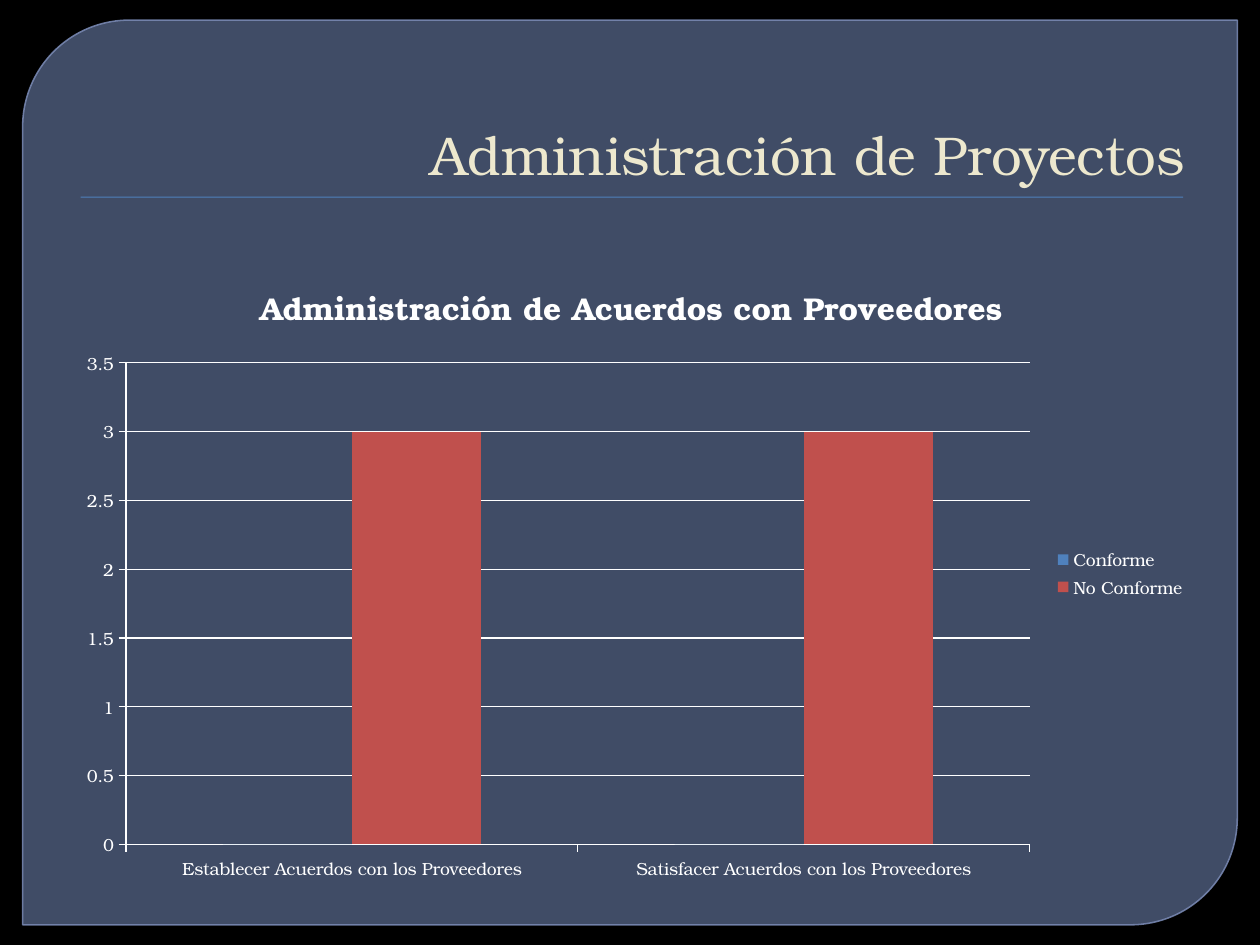
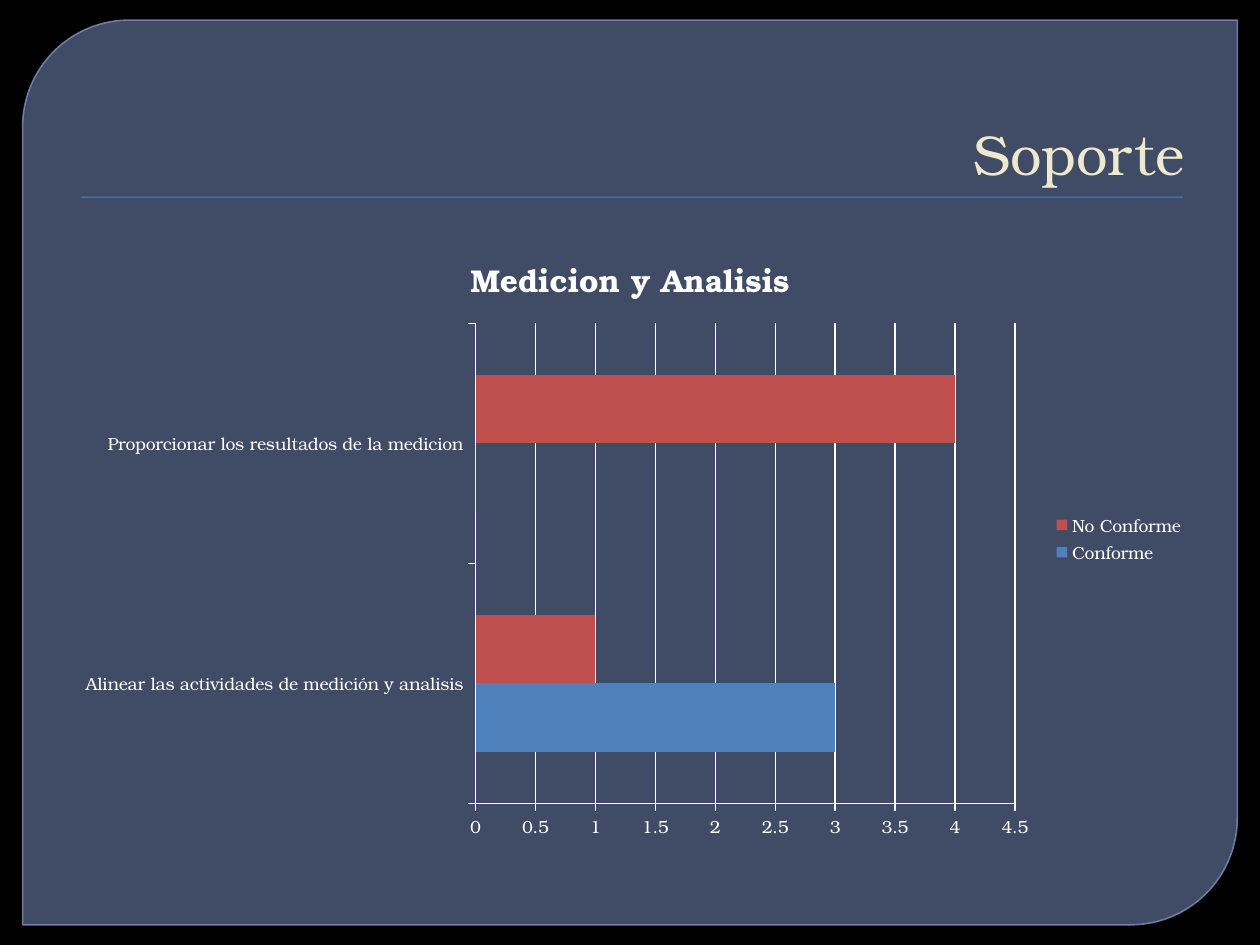
from lxml.etree import SubElement
from pptx import Presentation
from pptx.chart.data import CategoryChartData
from pptx.dml.color import RGBColor
from pptx.enum.chart import XL_CHART_TYPE as Kind, XL_LEGEND_POSITION as LegendAt, XL_TICK_MARK as Tick
from pptx.enum.shapes import MSO_SHAPE as Shape
from pptx.enum.text import MSO_ANCHOR as Anchor, MSO_AUTO_SIZE as AutoSize, PP_ALIGN as Align
from pptx.oxml.ns import qn
from pptx.util import Inches, Pt

COLS, ROWS = 20, 15
TITLE_ONLY = 5


def rgb(code):
    return RGBColor.from_string(code)


def apply(target, **values):
    for name, value in values.items():
        setattr(target, name, value)


class Deck:
    font = "TeX Gyre Bonum"
    back, panel, edge = "000000", "63759D", "7989B3"
    accent, cream, white = "4F81BD", "EDE8CE", "FFFFFF"
    series_colours = {"Conforme": accent, "No Conforme": "C0504D"}

    def __init__(self):
        self.prs = Presentation()
        apply(self.prs, slide_width=Inches(10), slide_height=Inches(7.5))
        self.s = None

    def box(self, col, row, cols, rows):
        w, h = self.prs.slide_width / COLS, self.prs.slide_height / ROWS
        return [round(v) for v in (col * w, row * h, cols * w, rows * h)]

    def style(self, font, size, colour, bold=False):
        apply(font, name=self.font, size=Pt(size), bold=bold)
        font.color.rgb = rgb(colour)

    def line(self, line, colour, width=0.75):
        line.color.rgb = rgb(colour)
        line.width = Pt(width)

    def alpha(self, fill_owner, percent):
        """Set the opacity of the solid fill held by an XML element."""
        colour = fill_owner.find(qn("a:solidFill"))[0]
        SubElement(colour, qn("a:alpha"), val=str(percent * 1000))

    def backdrop(self, shape, at, colour):
        """Add a filled shape behind the placeholders."""
        sp = self.s.shapes.add_shape(shape, *self.box(*at))
        sp.shadow.inherit = False
        sp.fill.solid()
        sp.fill.fore_color.rgb = rgb(colour)
        sp.line.fill.background()
        title = self.s.shapes.title._element
        title.addprevious(sp._element)
        return sp

    def slide(self):
        self.s = self.prs.slides.add_slide(self.prs.slide_layouts[TITLE_ONLY])
        fill = self.s.background.fill
        fill.solid()
        fill.fore_color.rgb = rgb(self.back)
        panel = self.backdrop(Shape.ROUND_2_DIAG_RECTANGLE, (0.36, 0.32, 19.28, 14.36), self.panel)
        panel.adjustments[0] = 0.118
        self.line(panel.line, self.edge, 0.87)
        props = panel._element.spPr
        self.alpha(props, 65)
        self.alpha(props.find(qn("a:ln")), 88)
        self.backdrop(Shape.RECTANGLE, (1.28, 3.12, 17.5, 0.02), self.accent)

    def title(self, text, at, size):
        sp = self.s.shapes.title
        apply(sp, **dict(zip(("left", "top", "width", "height"), self.box(*at))))
        tf = sp.text_frame
        apply(tf, text=text, word_wrap=True, auto_size=AutoSize.NONE, vertical_anchor=Anchor.BOTTOM)
        p = tf.paragraphs[0]
        p.alignment = Align.RIGHT
        self.style(p.runs[0].font, size, self.cream)

    def chart(self, kind, title, at, categories, values, top):
        data = CategoryChartData()
        data.categories = categories
        for name, numbers in zip(self.series_colours, values):
            data.add_series(name, numbers)
        chart = self.s.shapes.add_chart(kind, *self.box(*at), data).chart
        self.style(chart.font, 10, self.white)

        tf = chart.chart_title.text_frame
        tf.text = title
        self.style(tf.paragraphs[0].runs[0].font, 18, self.white, True)

        chart.has_legend = True
        apply(chart.legend, position=LegendAt.RIGHT, include_in_layout=False)

        for axis in (chart.category_axis, chart.value_axis):
            apply(axis, major_tick_mark=Tick.OUTSIDE, minor_tick_mark=Tick.NONE)
            self.line(axis.format.line, self.white)
        apply(chart.value_axis, minimum_scale=0, maximum_scale=top, major_unit=0.5,
              has_major_gridlines=True)
        self.line(chart.value_axis.major_gridlines.format.line, self.white)

        plot = chart.plots[0]
        apply(plot, gap_width=150, overlap=0, vary_by_categories=False)
        for series, colour in zip(plot.series, self.series_colours.values()):
            series.format.fill.solid()
            series.format.fill.fore_color.rgb = rgb(colour)


def main():
    deck = Deck()

    deck.slide()
    deck.title("Administración de Proyectos", (1, 1.68, 18, 1.38), 31.2)
    deck.chart(Kind.COLUMN_CLUSTERED, "Administración de Acuerdos con Proveedores",
               (1.02, 4.04, 18, 10.12),
               ["Establecer Acuerdos con los Proveedores", "Satisfacer Acuerdos con los Proveedores"],
               [(0, 0), (3, 3)], top=3.5)

    deck.slide()
    deck.title("Soporte", (1, 1.36, 18, 1.7), 32)
    deck.chart(Kind.BAR_CLUSTERED, "Medicion y Analisis", (1, 3.6, 18, 9.9),
               ["Alinear las actividades de medición y analisis", "Proporcionar los resultados de la medicion"],
               [(3, 0), (1, 4)], top=4.5)

    deck.prs.save("out.pptx")


if __name__ == "__main__":
    main()
